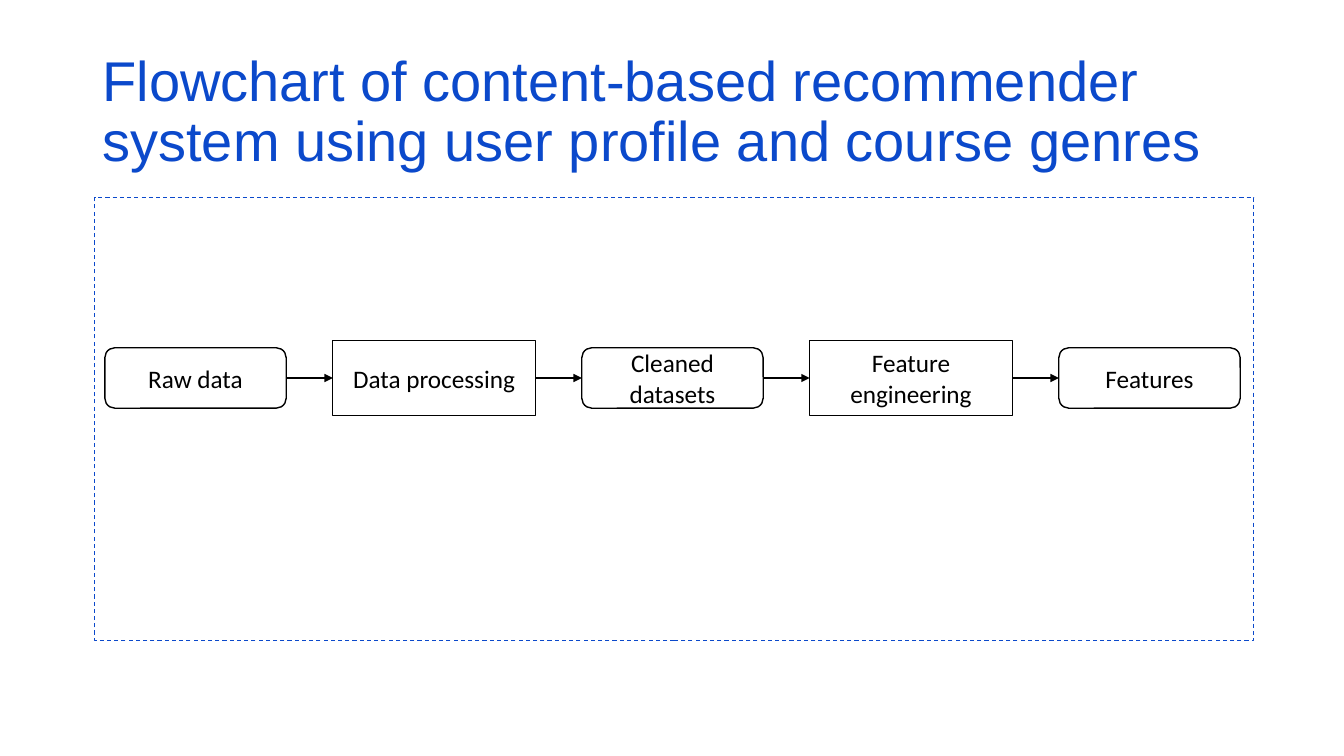
from dataclasses import dataclass

import pptx
import pptx.dml.color
import pptx.enum.dml
import pptx.enum.shapes
import pptx.enum.text
import pptx.oxml
import pptx.oxml.ns
import pptx.shapes.autoshape
import pptx.shapes.base
import pptx.slide
import pptx.util

Pt = pptx.util.Pt
RGB = pptx.dml.color.RGBColor
SHAPE = pptx.enum.shapes.MSO_SHAPE
ANCHOR = pptx.enum.text.MSO_ANCHOR
ALIGN = pptx.enum.text.PP_ALIGN


@dataclass(frozen=True)
class Theme:
    """Colours, fonts and sizes of the slide."""

    blue: RGB = RGB(0x0B, 0x49, 0xCB)
    black: RGB = RGB(0, 0, 0)
    white: RGB = RGB(255, 255, 255)
    title_font: str = "Arial"
    step_font: str = "Calibri"
    title_size: float = 40
    step_size: float = 18
    frame_line: float = 0.75
    step_line: float = 1
    arrow_line: float = 1.25


@dataclass(frozen=True)
class StepStyle:
    """Geometry of one kind of flowchart step."""

    shape: SHAPE
    width: float
    height: float
    filled: bool


@dataclass(frozen=True)
class Step:
    """One flowchart step."""

    label: str
    style: StepStyle


THEME = Theme()
DATA = StepStyle(SHAPE.ROUNDED_RECTANGLE, 129.6, 43.2, False)
PROCESS = StepStyle(SHAPE.RECTANGLE, 144.7, 53.2, True)
STEPS = [
    Step("Raw data", DATA),
    Step("Data processing", PROCESS),
    Step("Cleaned datasets", DATA),
    Step("Feature engineering", PROCESS),
    Step("Features", DATA),
]
FLOW_LEFT, FLOW_MIDDLE, FLOW_GAP = 74.9, 270, 33.2


def set_attrs(target: object, values: dict[str, object]) -> None:
    """Set each named attribute of the target."""
    for name, value in values.items():
        setattr(target, name, value)


def write_text(s: pptx.shapes.base.BaseShape, text: str, align: ALIGN,
               font: dict[str, object], spacing: float = 1.0) -> None:
    """Write one wrapped, vertically centred paragraph."""
    tf = s.text_frame
    set_attrs(tf, {"word_wrap": True, "vertical_anchor": ANCHOR.MIDDLE})
    p = tf.paragraphs[0]
    set_attrs(p, {"alignment": align, "line_spacing": spacing})
    r = p.add_run()
    r.text = text
    color = font["color"]
    set_attrs(r.font, {k: v for k, v in font.items() if k != "color"})
    r.font.color.rgb = color


def add_box(slide: pptx.slide.Slide, kind: SHAPE, left: float, top: float,
            width: float, height: float, line: RGB,
            weight: float) -> pptx.shapes.autoshape.Shape:
    """Add an unfilled outlined shape."""
    s = slide.shapes.add_shape(kind, Pt(left), Pt(top), Pt(width), Pt(height))
    s.shadow.inherit = False
    s.fill.background()
    s.line.color.rgb = line
    s.line.width = Pt(weight)
    return s


def add_title(slide: pptx.slide.Slide, text: str) -> None:
    """Add the slide title."""
    s = slide.shapes.add_textbox(Pt(66.2), Pt(28.8), Pt(828), Pt(104.4))
    write_text(s, text, ALIGN.LEFT, {
        "name": THEME.title_font, "size": Pt(THEME.title_size),
        "color": THEME.blue}, 0.9)


def add_step(slide: pptx.slide.Slide, step: Step,
             left: float) -> pptx.shapes.autoshape.Shape:
    """Add a step centred on the flow line."""
    style = step.style
    s = add_box(slide, style.shape, left, FLOW_MIDDLE - style.height / 2,
                style.width, style.height, THEME.black, THEME.step_line)
    if style.filled:
        s.fill.solid()
        s.fill.fore_color.rgb = THEME.white
    write_text(s, step.label, ALIGN.CENTER, {
        "name": THEME.step_font, "size": Pt(THEME.step_size),
        "color": THEME.black})
    return s


def add_arrow(slide: pptx.slide.Slide, start: pptx.shapes.autoshape.Shape,
              end: pptx.shapes.autoshape.Shape) -> None:
    """Join the right side of one step to the left side of the next."""
    s = slide.shapes.add_connector(
        pptx.enum.shapes.MSO_CONNECTOR.STRAIGHT, Pt(0), Pt(0), Pt(0), Pt(0))
    s.begin_connect(start, 3)
    s.end_connect(end, 1)
    s.line.color.rgb = THEME.black
    s.line.width = Pt(THEME.arrow_line)
    ns = pptx.oxml.ns.nsdecls("a")
    s.line._get_or_add_ln().append(
        pptx.oxml.parse_xml(f'<a:tailEnd {ns} type="triangle"/>'))
    s._element.spPr.append(pptx.oxml.parse_xml(f"<a:effectLst {ns}/>"))


def main() -> None:
    """Build and save the flowchart slide."""
    prs = pptx.Presentation()
    set_attrs(prs, {"slide_width": Pt(960), "slide_height": Pt(540)})
    slide = prs.slides.add_slide(prs.slide_layouts[6])
    add_title(slide, "Flowchart of content-based recommender system "
                     "using user profile and course genres")
    frame = add_box(slide, SHAPE.RECTANGLE, 67.7, 141.1, 828, 316.1,
                    THEME.blue, THEME.frame_line)
    frame.line.dash_style = pptx.enum.dml.MSO_LINE.DASH
    left, boxes = FLOW_LEFT, []
    for step in STEPS:
        boxes.append(add_step(slide, step, left))
        left += step.style.width + FLOW_GAP
    for start, end in zip(boxes, boxes[1:]):
        add_arrow(slide, start, end)
    prs.save("out.pptx")


if __name__ == "__main__":
    main()
